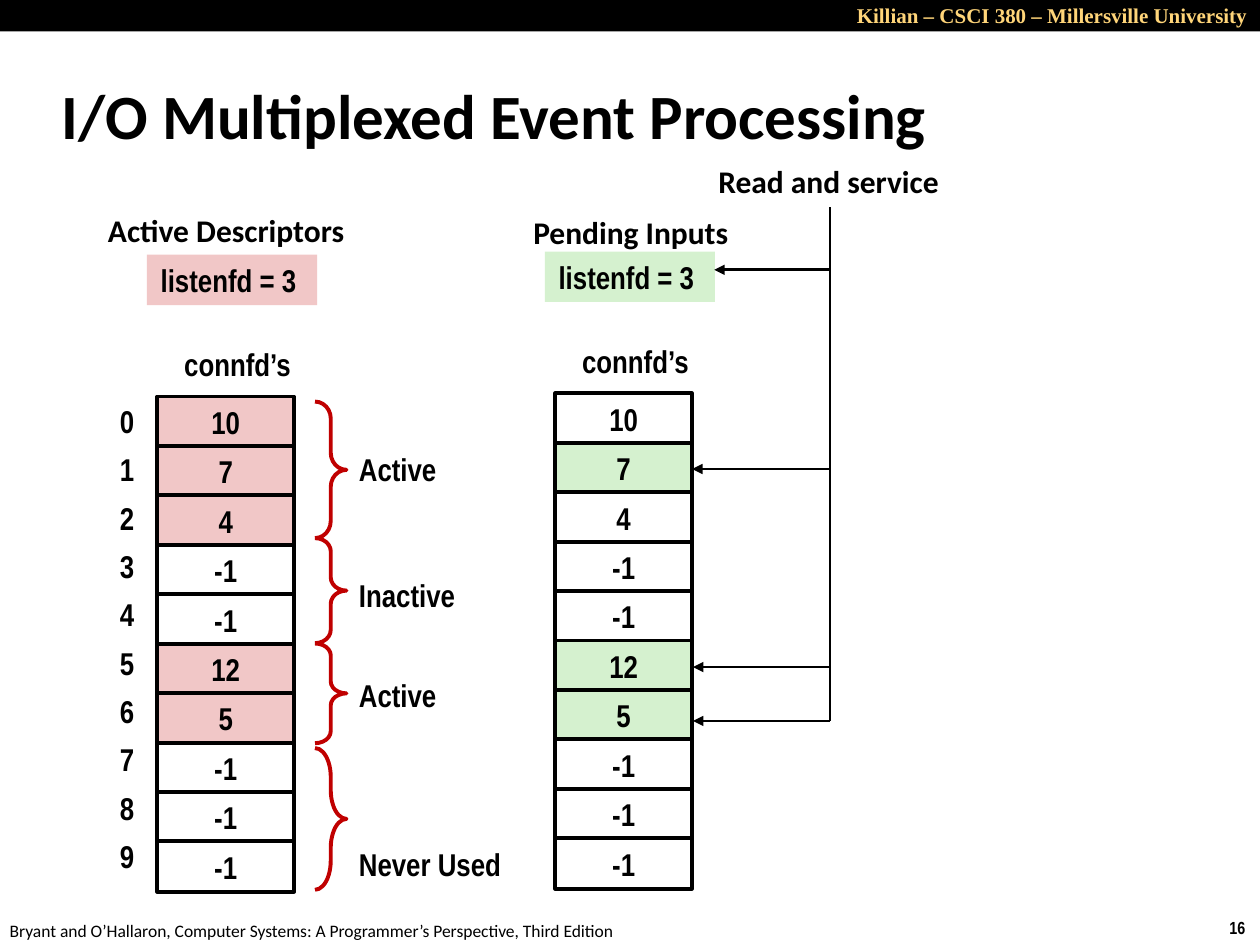
from typing import NamedTuple, Optional

from lxml import etree
from pptx import Presentation
from pptx.dml.color import RGBColor
from pptx.enum.shapes import MSO_CONNECTOR, MSO_SHAPE
from pptx.enum.text import MSO_ANCHOR, MSO_AUTO_SIZE, PP_ALIGN
from pptx.oxml.ns import qn
from pptx.util import Pt

LEFT, MID, RIGHT = PP_ALIGN.LEFT, PP_ALIGN.CENTER, PP_ALIGN.RIGHT
TOP, CENTER = MSO_ANCHOR.TOP, MSO_ANCHOR.MIDDLE
GROW = MSO_AUTO_SIZE.SHAPE_TO_FIT_TEXT
RECT, BRACE = MSO_SHAPE.RECTANGLE, MSO_SHAPE.RIGHT_BRACE
STRAIGHT = MSO_CONNECTOR.STRAIGHT

BLACK, WHITE, GOLD = "000000", "FFFFFF", "FFD579"
PINK, GREEN, RED = "F1C7C7", "D5F1CF", "C00000"
NARROW, SANS, SERIF = "Arial Narrow", "Calibri", "Times New Roman"
ROW, CELL = 28.25, 28.8


class Box(NamedTuple):
    x: float
    y: float
    w: float
    h: float = CELL


class Style(NamedTuple):
    font: str = NARROW
    size: float = 18
    bold: bool = True
    hue: str = BLACK
    align: PP_ALIGN = MID
    anchor: MSO_ANCHOR = TOP
    wrap: bool = False


class Label(NamedTuple):
    text: str
    box: Box
    style: Style


class Stack(NamedTuple):
    x: float
    y: float
    fill: str
    marked: set[int]


class Group(NamedTuple):
    text: str
    top: float
    high: float
    bend: float
    line: float


BODY = Style()
INNER = Style(anchor=CENTER, wrap=True)
INDEX = INNER._replace(align=RIGHT)
SIDE = Style(align=LEFT)
HEAD = Style(SANS)
WIDE = HEAD._replace(wrap=True)

VALUES = [10, 7, 4, -1, -1, 12, 5, -1, -1, -1]
STACKS = [
    Stack(90, 226.6, PINK, {0, 1, 2, 5, 6}),
    Stack(317.4, 224.8, GREEN, {1, 5, 6}),
]
GROUPS = [
    Group("Active", 229.5, 78, 0.54, 253.5),
    Group("Inactive", 307.5, 60, 0.42, 325.5),
    Group("Active", 367.7, 57, 0.38, 383),
    Group("Never Used", 427.5, 81, 0.92, 479.3),
]
LABELS = [
    Label("16", Box(695.5, 520.5, 24.5, 19.4), Style(size=10, align=LEFT)),
    Label("Bryant and O’Hallaron, Computer Systems: A Programmer’s Perspective, "
          "Third Edition", Box(-1.5, 522, 366, 19.4),
          Style(SANS, 10, False, align=LEFT)),
    Label("Killian – CSCI 380 – Millersville University",
          Box(324, -2, 396, 21.6),
          Style(SERIF, 12, hue=GOLD, align=RIGHT, wrap=True)),
    Label("I/O Multiplexed Event Processing", Box(28.1, 35.5, 597.6, 60),
          Style(SANS, 36, align=LEFT, anchor=CENTER, wrap=True)),
    Label("Active Descriptors", Box(54, 117.2, 150.5), HEAD),
    Label("Pending Inputs", Box(282, 118.3, 157), WIDE),
    Label("Read and service", Box(395, 89.3, 157), WIDE),
]
TRUNK = 474.2
ARROWS = [(408.2, 154.2), (395.5, 268), (396, 381.2), (396, 412)]


def color(text: str) -> RGBColor:
    return RGBColor.from_string(text)


def write(shape, text: str, style: Style) -> None:
    frame = shape.text_frame
    frame.word_wrap = style.wrap
    frame.auto_size = GROW
    frame.vertical_anchor = style.anchor
    para = frame.paragraphs[0]
    para.alignment = style.align
    run = para.add_run()
    run.text = text
    font = run.font
    font.name, font.size, font.bold = style.font, Pt(style.size), style.bold
    font.color.rgb = color(style.hue)


def label(slide, item: Label) -> None:
    write(slide.shapes.add_textbox(*map(Pt, item.box)), item.text, item.style)


def form(slide, kind: MSO_SHAPE, box: Box, fill: Optional[str] = None,
         line: Optional[str] = None):
    shape = slide.shapes.add_shape(kind, *map(Pt, box))
    shape.shadow.inherit = False
    if fill:
        shape.fill.solid()
        shape.fill.fore_color.rgb = color(fill)
    else:
        shape.fill.background()
    if line:
        shape.line.color.rgb = color(line)
        shape.line.width = Pt(2.25)
    else:
        shape.line.fill.background()
    return shape


def wire(slide, x1: float, y1: float, x2: float, y2: float,
         arrow: bool = False) -> None:
    link = slide.shapes.add_connector(STRAIGHT, Pt(x1), Pt(y1), Pt(x2), Pt(y2))
    link.line.color.rgb = color(BLACK)
    link.line.width = Pt(1.5)
    props = link._element.spPr
    if arrow:
        etree.SubElement(props.find(qn("a:ln")), qn("a:tailEnd"), type="triangle")
    etree.SubElement(props, qn("a:effectLst"))


def stack(slide, item: Stack) -> None:
    for row, value in enumerate(VALUES):
        fill = item.fill if row in item.marked else WHITE
        box = Box(item.x, item.y + row * ROW, 78)
        write(form(slide, RECT, box, fill, BLACK), str(value), INNER)
    label(slide, Label("connfd’s", Box(item.x + 7.6, item.y - 32.8, 76.3), BODY))
    plate = form(slide, RECT, Box(item.x - 6, item.y - 81, 97.2), item.fill)
    write(plate, "listenfd = 3 ", BODY)


def group(slide, item: Group) -> None:
    brace = form(slide, BRACE, Box(180, item.top, 18, item.high), line=RED)
    brace.adjustments[0] = item.bend
    label(slide, Label(item.text, Box(198, item.line, 96), SIDE))


def main() -> None:
    deck = Presentation()
    deck.slide_width, deck.slide_height = Pt(720), Pt(540)
    slide = deck.slides.add_slide(deck.slide_layouts[6])
    form(slide, RECT, Box(0, 0, 720, 18), BLACK)
    for item in STACKS:
        stack(slide, item)
    for row in range(len(VALUES)):
        label(slide, Label(str(row), Box(5.8, 226 + row * 27.65, 78), INDEX))
    for item in GROUPS:
        group(slide, item)
    for item in LABELS:
        label(slide, item)
    for x, y in ARROWS:
        wire(slide, TRUNK, y, x, y, True)
    wire(slide, TRUNK, 412, TRUNK, 118.4)
    deck.save("out.pptx")


if __name__ == "__main__":
    main()
